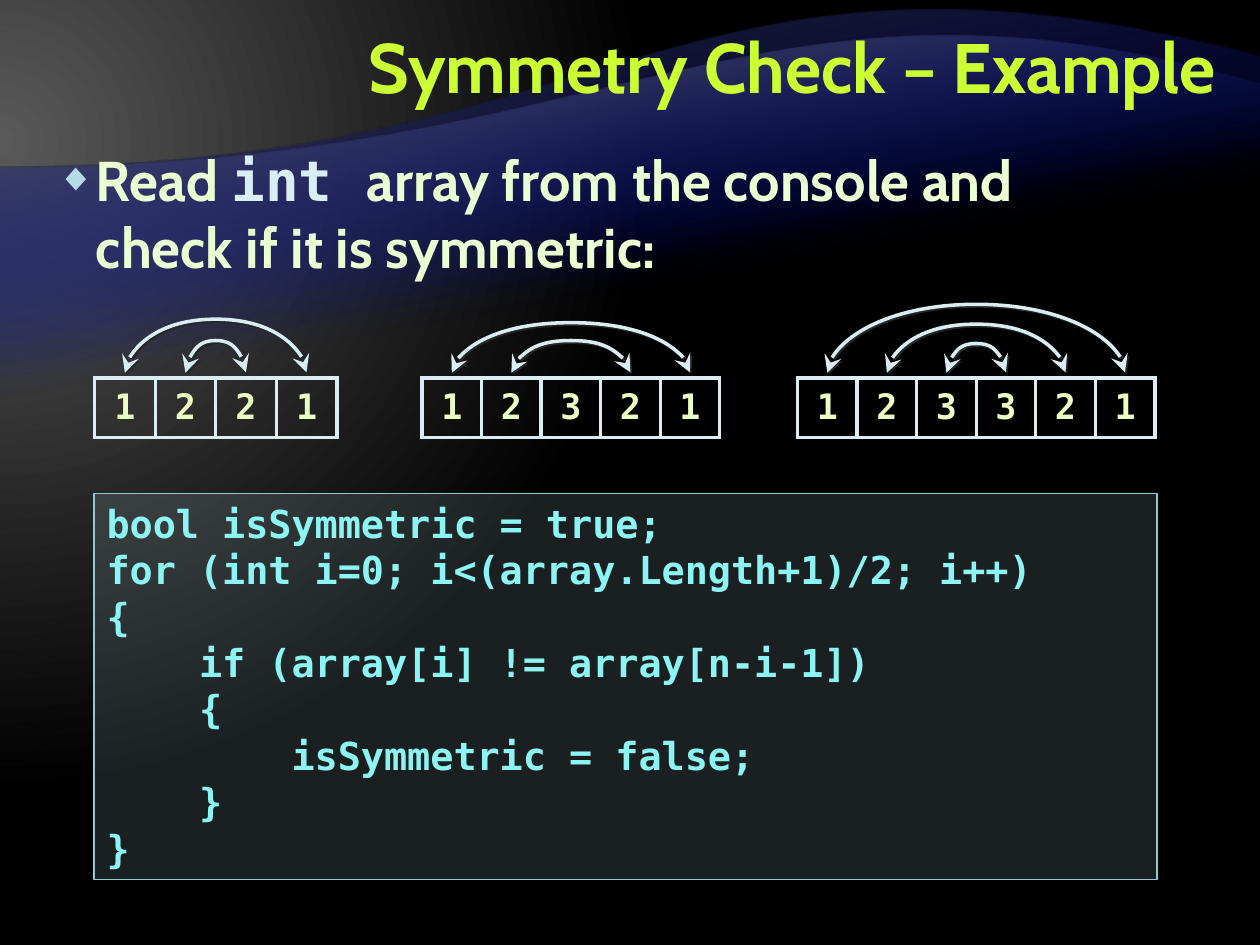
"""Build the array symmetry check example slide."""
from dataclasses import dataclass

from lxml.etree import SubElement
from pptx import Presentation
from pptx.dml.color import RGBColor
from pptx.enum.shapes import MSO_CONNECTOR as Connector, MSO_SHAPE as Shape
from pptx.enum.text import MSO_ANCHOR as Anchor, MSO_AUTO_SIZE as AutoSize, PP_ALIGN as Align
from pptx.oxml import parse_xml
from pptx.oxml.ns import nsdecls, qn
from pptx.util import Cm, Pt


@dataclass(frozen=True)
class Theme:
    sans: str = "Cabin"
    mono: str = "DejaVu Sans Mono"
    title: str = "CCFF33"
    body: str = "EBFFD2"
    pale: str = "DAEDF2"
    bullet: str = "B5DBE5"
    digit: str = "EBFFC2"
    code: str = "8CF4F2"
    code_edge: str = "90CAD7"
    shadow: str = "262626"
    glow: str = "000D9E"
    title_size: int = 40
    body_size: int = 32
    code_size: int = 22
    digit_size: int = 20


THEME = Theme()
WIDTH, HEIGHT = 25.4, 19.05
TITLE = "Symmetry Check – Example"
TASK = [
    ("Read ", THEME.sans, THEME.body),
    ("int ", THEME.mono, THEME.pale),
    ("array from the console and", THEME.sans, THEME.body),
    ("check if it is symmetric:", THEME.sans, THEME.body),
]
CODE = [
    "bool isSymmetric = true;",
    "for (int i=0; i<(array.Length+1)/2; i++)",
    "{",
    "    if (array[i] != array[n-i-1])",
    "    {",
    "        isSymmetric = false;",
    "    }",
    "}",
]
ARRAYS = [
    {"left": 1.91, "width": 4.88, "digits": "1221", "lifts": (1.07, 0.64)},
    {"left": 8.51, "width": 6, "digits": "12321", "lifts": (1, 0.64)},
    {"left": 16.08, "width": 7.2, "digits": "123321", "lifts": (1.37, 0.97, 0.58)},
]
ARRAY_TOP, ARRAY_HEIGHT, ARROW_FOOT = 7.62, 1.2, 7.51
ARROW_DEPTH = 0.01
WAVES = [
    {"top": 1.14, "bottom": 16.59, "left": 3.38, "pulls": ((12.7, 3.38), (13.56, -1.9)), "tint": "262626"},
    {"top": 1.7, "bottom": 14.15, "left": 3.38, "pulls": ((12.7, 3.38), (15.19, -1.24)), "tint": "595959"},
]


def add_span(para, text, font, size, color):
    span = para.add_run()
    span.text = text
    span.font.name = font
    span.font.size = Pt(size)
    span.font.bold = True
    span.font.color.rgb = RGBColor.from_string(color)


def place(box, left, top, width, height):
    box.left, box.top, box.width, box.height = map(Cm, (left, top, width, height))


def gradient(stops, direction):
    marks = "".join(
        f'<a:gs pos="{place_at * 1000}"><a:srgbClr val="{color}"><a:alpha val="{alpha * 1000}"/></a:srgbClr></a:gs>'
        for place_at, color, alpha in stops
    )
    return f'<a:gradFill {nsdecls("a")} rotWithShape="1"><a:gsLst>{marks}</a:gsLst>{direction}</a:gradFill>'


def paint_background(slide):
    center = '<a:path path="circle"><a:fillToRect l="20000" t="30000" r="135000" b="100000"/></a:path>'
    fill = gradient([(0, "595959", 100), (83, "000000", 100)], center)
    slide._element.cSld.insert(
        0, parse_xml(f'<p:bg {nsdecls("p")}><p:bgPr>{fill}<a:effectLst {nsdecls("a")}/></p:bgPr></p:bg>')
    )


def add_wave(slide, wave, depth):
    def turn(x, y):
        return round((WIDTH - x) * 100), round((wave["top"] + wave["bottom"] - y) * 100)

    corners = [(WIDTH, wave["bottom"]), (0, wave["bottom"]), (0, wave["left"]), (WIDTH, wave["top"])]
    start, *rest = [turn(*corner) for corner in corners]
    builder = slide.shapes.build_freeform(*start, scale=Cm(0.01))
    builder.add_line_segments(rest, close=True)
    shape = builder.convert_to_shape()
    shape.rotation = 180
    shape.shadow.inherit = False
    shape.line.fill.background()
    properties = shape._element.spPr
    straight = properties.findall(".//" + qn("a:lnTo"))[2]
    curve = parse_xml(f'<a:cubicBezTo {nsdecls("a")}/>')
    for x, y in [turn(*pull) for pull in wave["pulls"]] + [rest[-1]]:
        SubElement(curve, qn("a:pt"), x=str(x), y=str(y - round(wave["top"] * 100)))
    straight.getparent().replace(straight, curve)
    stops = [(65, THEME.glow, 0), (100, wave["tint"], 100)]
    fill = parse_xml(gradient(stops, '<a:lin ang="4800000" scaled="0"/>'))
    properties.find(qn("a:custGeom")).addnext(fill)
    slide.shapes._spTree.insert(2 + depth, shape._element)


def fill_title(box):
    place(box, 5.08, 0.2, 19.69, 2.54)
    frame = box.text_frame
    frame.word_wrap, frame.auto_size, frame.vertical_anchor = True, AutoSize.NONE, Anchor.MIDDLE
    para = frame.paragraphs[0]
    para.alignment, para.line_spacing = Align.RIGHT, Pt(40)
    add_span(para, TITLE, THEME.sans, THEME.title_size, THEME.title)


def fill_task(box):
    place(box, 0.89, 2.82, 23.6, 14.81)
    frame = box.text_frame
    frame.word_wrap, frame.auto_size, frame.vertical_anchor = True, AutoSize.NONE, Anchor.TOP
    para = frame.paragraphs[0]
    layout = para._p.get_or_add_pPr()
    layout.set("marL", str(Cm(0.79)))
    layout.set("indent", str(-Cm(0.79)))
    SubElement(SubElement(layout, qn("a:buClr")), qn("a:srgbClr"), val=THEME.bullet)
    SubElement(layout, qn("a:buSzPct"), val="70000")
    SubElement(layout, qn("a:buChar"), char="◆")
    para.line_spacing, para.space_before, para.space_after = Pt(38), Pt(0), Pt(6)
    for index, (text, font, color) in enumerate(TASK):
        if index == len(TASK) - 1:
            para.add_line_break()
        add_span(para, text, font, THEME.body_size, color)


def add_code(slide):
    box = slide.shapes.add_shape(Shape.RECTANGLE, Cm(1.9), Cm(9.95), Cm(21.42), Cm(7.78))
    box.shadow.inherit = False
    box.fill.solid()
    box.fill.fore_color.rgb = RGBColor.from_string(THEME.bullet)
    SubElement(box._element.spPr.find(".//" + qn("a:srgbClr")), qn("a:alpha"), val="15000")
    box.line.color.rgb = RGBColor.from_string(THEME.code_edge)
    box.line.width = Pt(1)
    frame = box.text_frame
    frame.word_wrap, frame.vertical_anchor = True, Anchor.TOP
    for index, line in enumerate(CODE):
        para = frame.add_paragraph() if index else frame.paragraphs[0]
        para.alignment, para.line_spacing = Align.LEFT, Pt(26.5)
        add_span(para, line, THEME.mono, THEME.code_size, THEME.code)


def add_array(slide, left, width, digits):
    frame = slide.shapes.add_table(1, len(digits), Cm(left), Cm(ARRAY_TOP), Cm(width), Cm(ARRAY_HEIGHT))
    table = frame.table
    table.first_row = table.horz_banding = False
    for column, digit in enumerate(digits):
        table.columns[column].width = Cm(width / len(digits))
        cell = table.cell(0, column)
        cell.margin_left = cell.margin_right = cell.margin_top = cell.margin_bottom = 0
        cell.vertical_anchor = Anchor.MIDDLE
        for side in ("lnL", "lnR", "lnT", "lnB"):
            edge = SubElement(cell._tc.get_or_add_tcPr(), qn(f"a:{side}"), w=str(Pt(2.25)))
            SubElement(SubElement(edge, qn("a:solidFill")), qn("a:srgbClr"), val=THEME.pale)
        cell.fill.background()
        para = cell.text_frame.paragraphs[0]
        para.alignment = Align.CENTER
        add_span(para, digit, THEME.mono, THEME.digit_size, THEME.digit)


def add_arc(slide, middle, reach, lift):
    left, top = middle - ARROW_DEPTH / 2, ARROW_FOOT - reach / 2
    corners = (left + ARROW_DEPTH, top + reach, left, top)
    arc = slide.shapes.add_connector(Connector.CURVE, *map(Cm, corners))
    arc.line.color.rgb = RGBColor.from_string(THEME.pale)
    arc.line.width = Pt(2)
    properties = arc._element.spPr
    properties.find(qn("a:xfrm")).set("rot", "16200000")
    bend = properties.find(".//" + qn("a:avLst"))
    SubElement(bend, qn("a:gd"), name="adj1", fmla=f"val {round(-lift / ARROW_DEPTH * 100000)}")
    for end in ("headEnd", "tailEnd"):
        SubElement(properties.find(qn("a:ln")), qn(f"a:{end}"), type="stealth", w="lg", len="lg")
    effects = SubElement(properties, qn("a:effectLst"))
    shadow = SubElement(effects, qn("a:outerShdw"), dist=str(Pt(1.4)), dir="2700000")
    SubElement(shadow, qn("a:srgbClr"), val=THEME.shadow)


def main():
    deck = Presentation()
    deck.slide_width, deck.slide_height = Cm(WIDTH), Cm(HEIGHT)
    page = deck.slides.add_slide(deck.slide_layouts[1])
    paint_background(page)
    for depth, wave in enumerate(WAVES):
        add_wave(page, wave, depth)
    fill_title(page.shapes.title)
    fill_task(page.placeholders[1])
    add_code(page)
    for array in ARRAYS:
        left, width, digits = array["left"], array["width"], array["digits"]
        add_array(page, left, width, digits)
        for pair, lift in enumerate(array["lifts"]):
            reach = width / len(digits) * (len(digits) - 1 - 2 * pair)
            add_arc(page, left + width / 2, reach, lift)
    deck.save("out.pptx")


if __name__ == "__main__":
    main()
